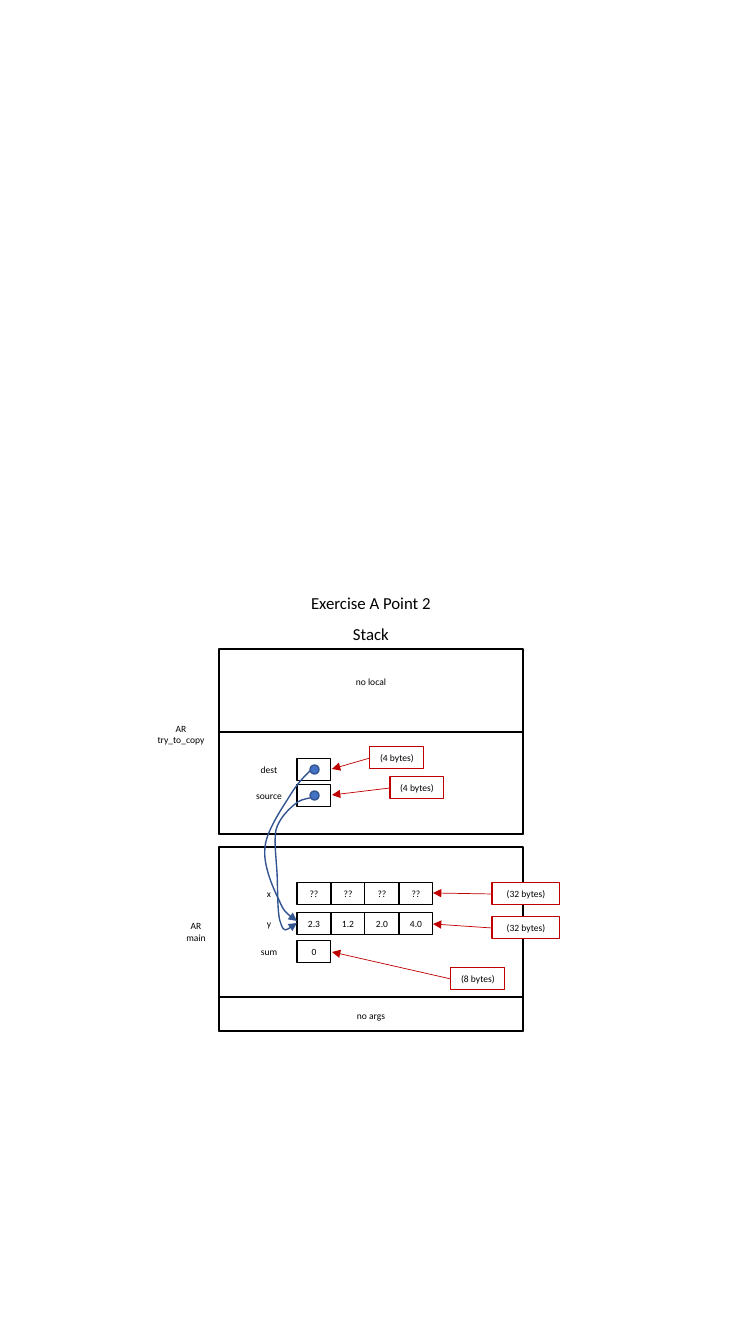
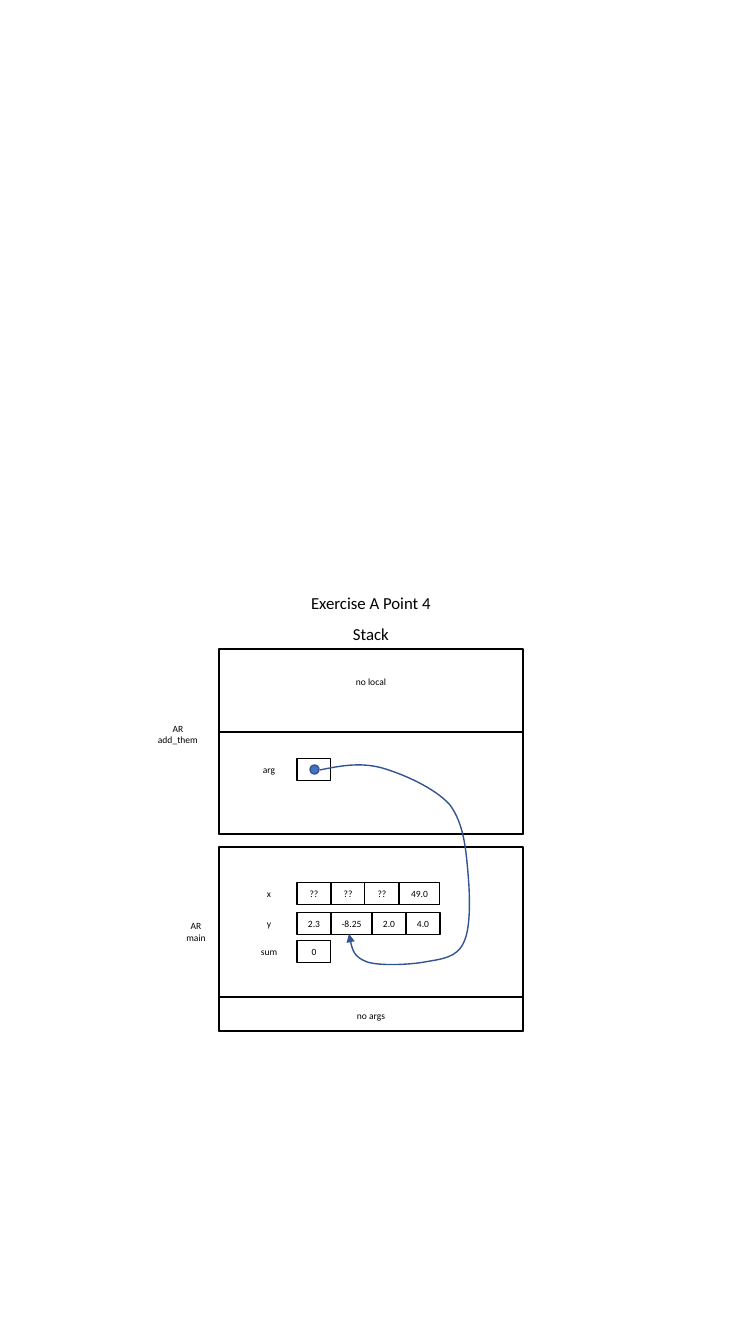
from dataclasses import dataclass
from itertools import accumulate
from typing import Any

from lxml.etree import SubElement
from pptx import Presentation
from pptx.dml.color import RGBColor
from pptx.enum.shapes import MSO_CONNECTOR, MSO_SHAPE
from pptx.enum.text import MSO_ANCHOR, MSO_AUTO_SIZE, PP_ALIGN
from pptx.oxml.ns import qn
from pptx.util import Emu, Pt

SCALE = 914400 / 100.8
COLOURS = {
    "black": "000000",
    "white": "FFFFFF",
    "red": "C00000",
    "dot": "4472C4",
    "pointer": "325491",
}
FRAME_FORMAT = {
    "word_wrap": True,
    "auto_size": MSO_AUTO_SIZE.NONE,
    "vertical_anchor": MSO_ANCHOR.MIDDLE,
    "margin_left": 0,
    "margin_right": 0,
    "margin_top": 0,
    "margin_bottom": 0,
}
FONT_FORMAT = {"name": "Calibri", "bold": False}
HEADING_SIZE, BODY_SIZE = 12, 6.8
STACK_LEFT, STACK_WIDTH = 219, 304
LABEL_LEFT, LABEL_WIDTH = 242, 54
CELL_LEFT, CELL_WIDTH, WIDE_CELL_WIDTH, CELL_HEIGHT = 297, 34, 41, 22
DOT_LEFT, DOT_SIZE = 310, 9

Point = tuple[int, int]


@dataclass(frozen=True)
class Box:
    """A rectangle in pixels."""

    left: int
    top: int
    width: int
    height: int


@dataclass(frozen=True)
class Variable:
    """A named row of memory cells; an empty value holds a pointer dot."""

    name: str
    top: int
    values: tuple[str, ...]


@dataclass(frozen=True)
class SizeNote:
    """A note on a variable's size, with the tip of its arrow."""

    text: str
    box: Box
    tip: Point


@dataclass(frozen=True)
class StackDiagram:
    """Everything that differs between the slides."""

    title: str
    function_label: str
    function_box: Box
    variables: tuple[Variable, ...]
    pointers: tuple[tuple[Point, ...], ...]
    notes: tuple[SizeNote, ...] = ()


SECTIONS = (
    Box(STACK_LEFT, 847, STACK_WIDTH, 184),
    Box(STACK_LEFT, 997, STACK_WIDTH, 34),
    Box(STACK_LEFT, 649, STACK_WIDTH, 185),
    Box(STACK_LEFT, 732, STACK_WIDTH, 102),
)
TITLE_BOX = Box(STACK_LEFT, 588, STACK_WIDTH, 30)
STACK_BOX = Box(STACK_LEFT, 619, STACK_WIDTH, 30)
SHARED_LABELS = (
    ("no local", Box(STACK_LEFT, 671, STACK_WIDTH, CELL_HEIGHT)),
    ("no args", Box(STACK_LEFT, 1005, STACK_WIDTH, CELL_HEIGHT)),
    ("AR\nmain", Box(174, 915, 44, 33)),
)
SUM = Variable("sum", 941, ("0",))

DIAGRAMS = (
    StackDiagram(
        "Exercise A Point 2",
        "AR\ntry_to_copy",
        Box(143, 718, 76, 33),
        (
            Variable("dest", 759, ("",)),
            Variable("source", 785, ("",)),
            Variable("x", 883, ("??",) * 4),
            Variable("y", 913, ("2.3", "1.2", "2.0", "4.0")),
            SUM,
        ),
        (
            ((310, 798), (305, 799), (299, 800), (294, 805),
             (288, 810), (279, 819), (276, 830),
             (274, 841), (276, 856), (277, 872),
             (278, 888), (277, 916), (281, 924),
             (284, 933), (290, 928), (297, 923)),
            ((313, 768), (307, 774), (299, 781), (291, 794),
             (283, 807), (266, 831), (265, 848),
             (263, 865), (273, 888), (279, 900),
             (284, 912), (291, 917), (297, 921)),
        ),
        (
            SizeNote("(4 bytes)", Box(370, 747, 54, CELL_HEIGHT), (332, 769)),
            SizeNote("(4 bytes)", Box(390, 777, 54, CELL_HEIGHT), (332, 795)),
            SizeNote("(8 bytes)", Box(451, 968, 54, CELL_HEIGHT), (332, 952)),
            SizeNote("(32 bytes)", Box(492, 917, 68, CELL_HEIGHT), (433, 924)),
            SizeNote("(32 bytes)", Box(492, 883, 68, CELL_HEIGHT), (433, 893)),
        ),
    ),
    StackDiagram(
        "Exercise A Point 4",
        "AR\nadd_them",
        Box(137, 718, 82, 33),
        (
            Variable("arg", 759, ("",)),
            Variable("x", 883, ("??", "??", "??", "49.0")),
            Variable("y", 913, ("2.3", "-8.25", "2.0", "4.0")),
            SUM,
        ),
        (
            ((320, 770), (340, 766), (360, 762), (382, 768),
             (403, 774), (435, 788), (450, 805),
             (464, 824), (466, 850), (468, 873),
             (470, 895), (471, 927), (464, 942),
             (457, 958), (442, 959), (425, 962),
             (409, 965), (379, 966), (367, 962),
             (354, 957), (351, 946), (349, 934)),
        ),
    ),
)


def to_emu(pixels: int) -> Emu:
    """Turn pixels into EMU."""
    return Emu(round(pixels * SCALE))


def place(box: Box) -> tuple[Emu, Emu, Emu, Emu]:
    """Give left, top, width and height of a box in EMU."""
    return to_emu(box.left), to_emu(box.top), to_emu(box.width), to_emu(box.height)


def colour(name: str) -> RGBColor:
    """Look up a named colour."""
    return RGBColor.from_string(COLOURS[name])


def set_attributes(target: Any, values: dict[str, Any]) -> None:
    """Set every attribute of a format dict."""
    for name, value in values.items():
        setattr(target, name, value)


def write_text(shape: Any, text: str, size: float = BODY_SIZE) -> None:
    """Write centred black text, one paragraph a line."""
    text_frame = shape.text_frame
    text_frame.text = text
    set_attributes(text_frame, FRAME_FORMAT)
    for paragraph in text_frame.paragraphs:
        paragraph.alignment = PP_ALIGN.CENTER
        set_attributes(paragraph.font, FONT_FORMAT | {"size": Pt(size)})
        paragraph.font.color.rgb = colour("black")


def set_line(shape: Any, name: str, width: float) -> None:
    """Set line colour and width in points."""
    shape.line.color.rgb = colour(name)
    shape.line.width = Pt(width)


def add_arrowhead(shape: Any) -> None:
    """Put a triangle at the end of a line."""
    SubElement(shape.element.xpath(".//a:ln")[0], qn("a:tailEnd"), type="triangle")


def add_label(slide: Any, text: str, box: Box, size: float = BODY_SIZE) -> None:
    """Add a text box."""
    write_text(slide.shapes.add_textbox(*place(box)), text, size)


def add_box(slide: Any, box: Box, line: str, width: float, fill: str = "",
            text: str = "", kind: MSO_SHAPE = MSO_SHAPE.RECTANGLE) -> None:
    """Add an outlined shape, filled and lettered if asked."""
    shape = slide.shapes.add_shape(kind, *place(box))
    shape.shadow.inherit = False
    if fill:
        shape.fill.solid()
        shape.fill.fore_color.rgb = colour(fill)
    else:
        shape.fill.background()
    set_line(shape, line, width)
    if text:
        write_text(shape, text)


def add_variable(slide: Any, variable: Variable) -> None:
    """Add a variable's name and its row of cells."""
    add_label(slide, variable.name,
              Box(LABEL_LEFT, variable.top, LABEL_WIDTH, CELL_HEIGHT))
    widths = [WIDE_CELL_WIDTH if len(value) > 3 else CELL_WIDTH
              for value in variable.values]
    lefts = accumulate(widths, initial=CELL_LEFT)
    for value, left, width in zip(variable.values, lefts, widths):
        add_box(slide, Box(left, variable.top, width, CELL_HEIGHT),
                "black", 0.75, text=value)


def add_dot(slide: Any, variable: Variable) -> None:
    """Add the dot from which a pointer starts."""
    top = variable.top + (CELL_HEIGHT - DOT_SIZE) // 2
    add_box(slide, Box(DOT_LEFT, top, DOT_SIZE, DOT_SIZE), "pointer", 1, "dot",
            kind=MSO_SHAPE.OVAL)


def add_pointer(slide: Any, points: tuple[Point, ...]) -> None:
    """Add a curved arrow through a start and triples of Bezier points."""
    builder = slide.shapes.build_freeform(*points[0], scale=SCALE)
    builder.add_line_segments(points[1:], close=False)
    shape = builder.convert_to_shape()
    outline = shape.element.xpath(".//a:path")[0]
    segments = outline.findall(qn("a:lnTo"))
    for start in range(0, len(segments), 3):
        curve = SubElement(outline, qn("a:cubicBezTo"))
        for segment in segments[start:start + 3]:
            curve.append(segment[0])
            outline.remove(segment)
    shape.shadow.inherit = False
    shape.fill.background()
    set_line(shape, "pointer", 1)
    add_arrowhead(shape)


def add_note(slide: Any, note: SizeNote) -> None:
    """Add a size note and its arrow."""
    box = note.box
    add_box(slide, box, "red", 0.75, "white", note.text)
    ends = (box.left, box.top + box.height // 2, *note.tip)
    connector = slide.shapes.add_connector(MSO_CONNECTOR.STRAIGHT, *map(to_emu, ends))
    set_line(connector, "red", 0.5)
    add_arrowhead(connector)
    SubElement(connector.element.xpath("./p:spPr")[0], qn("a:effectLst"))


def add_diagram(presentation: Any, diagram: StackDiagram) -> None:
    """Add one slide with a stack diagram."""
    slide = presentation.slides.add_slide(presentation.slide_layouts[5])
    title = slide.shapes.title
    set_attributes(title, dict(zip(("left", "top", "width", "height"), place(TITLE_BOX))))
    write_text(title, diagram.title, HEADING_SIZE)
    add_label(slide, "Stack", STACK_BOX, HEADING_SIZE)
    for section in SECTIONS:
        add_box(slide, section, "black", 1, "white")
    for text, box in (*SHARED_LABELS, (diagram.function_label, diagram.function_box)):
        add_label(slide, text, box)
    for variable in diagram.variables:
        add_variable(slide, variable)
    for note in diagram.notes:
        add_note(slide, note)
    for points in diagram.pointers:
        add_pointer(slide, points)
    for variable in diagram.variables:
        if variable.values == ("",):
            add_dot(slide, variable)


def main() -> None:
    """Build and save the presentation."""
    presentation = Presentation()
    presentation.slide_width, presentation.slide_height = to_emu(756), to_emu(1344)
    for diagram in DIAGRAMS:
        add_diagram(presentation, diagram)
    presentation.save("out.pptx")


main()
